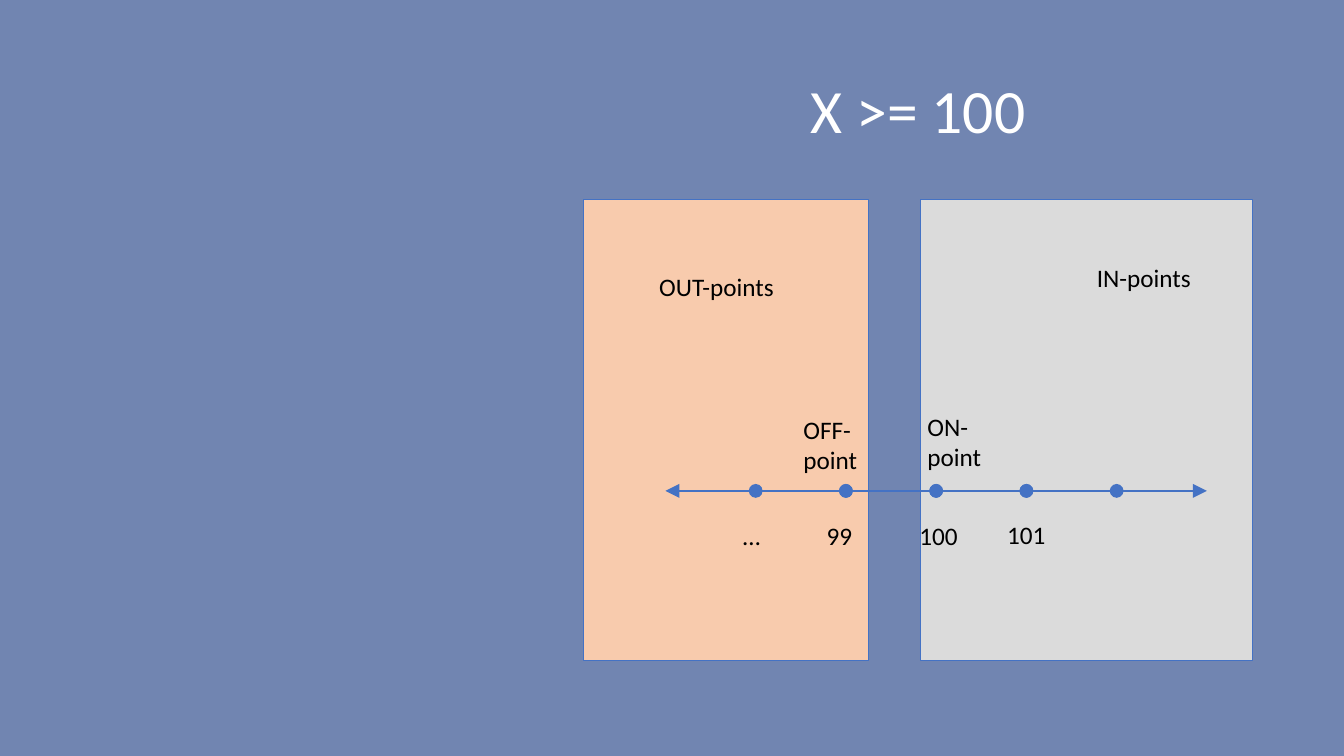
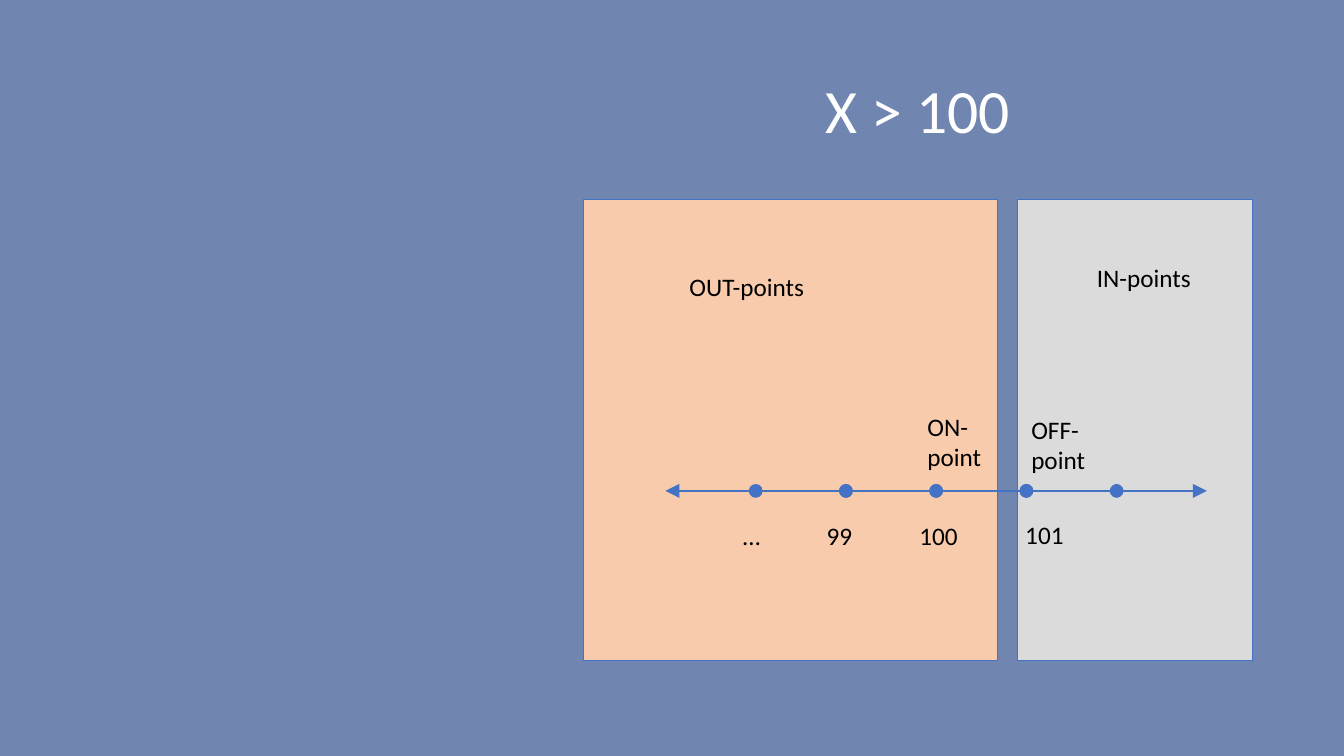
import pptx
import pptx.dml.color
import pptx.enum.shapes
import pptx.enum.text
import pptx.oxml.ns
import pptx.util
from pptx.util import Inches
from lxml import etree

COLOURS = {
    "background": "7185B1",
    "out": "F8CBAD",
    "in": "DBDBDB",
    "line": "4472C4",
    "title": "FFFFFF",
    "text": "000000",
}
FONT = "Calibri"
LABEL_FORMAT = {"size": pptx.util.Pt(18), "name": FONT}
TITLE_FORMAT = {"size": pptx.util.Pt(44), "name": FONT, "bold": False}
LABEL_FRAME = {
    "word_wrap": False,
    "auto_size": pptx.enum.text.MSO_AUTO_SIZE.SHAPE_TO_FIT_TEXT,
}
TITLE_FRAME = {
    "word_wrap": True,
    "auto_size": pptx.enum.text.MSO_AUTO_SIZE.NONE,
    "vertical_anchor": pptx.enum.text.MSO_ANCHOR.MIDDLE,
}
TITLE_PARAGRAPH = {"alignment": pptx.enum.text.PP_ALIGN.CENTER, "line_spacing": 0.9}

REGION_LEFT, REGION_RIGHT = 5.79, 12.42
REGION_TOP, REGION_HEIGHT = 1.98, 4.57
AXIS_START, AXIS_END, AXIS_Y = 6.6, 11.97, 4.87
SEGMENTS = 6

# Each label: text, left, top, width, height
SHARED_LABELS = [
    ("IN-points", 10.78, 2.55, 1.15, 0.4),
    ("…", 7.27, 5.11, 0.38, 0.4),
    ("99", 8.1, 5.11, 0.46, 0.4),
    ("100", 9.02, 5.11, 0.59, 0.4),
    ("ON-\npoint", 9.1, 4.03, 0.75, 0.71),
]
SLIDES = [
    {"title": "X >= 100", "out_right": 8.61, "in_left": 9.13,
     "out_label": 6.44, "tick_101": 9.89, "off_label": 7.87},
    {"title": "X > 100", "out_right": 9.89, "in_left": 10.09,
     "out_label": 6.74, "tick_101": 10.07, "off_label": 10.13},
]


def colour(name):
    return pptx.dml.color.RGBColor.from_string(COLOURS[name])


def set_values(target, values):
    for name, value in values.items():
        setattr(target, name, value)


def paint(fill, name):
    fill.solid()
    fill.fore_color.rgb = colour(name)


def format_font(font, values, name):
    set_values(font, values)
    font.color.rgb = colour(name)


def add_title(page, text):
    title = page.shapes.title
    set_values(title, {"left": Inches(REGION_LEFT), "top": Inches(0.4),
                       "width": Inches(REGION_RIGHT - REGION_LEFT),
                       "height": Inches(1.45)})
    title.text_frame.text = text
    set_values(title.text_frame, TITLE_FRAME)
    para = title.text_frame.paragraphs[0]
    set_values(para, TITLE_PARAGRAPH)
    format_font(para.runs[0].font, TITLE_FORMAT, "title")


def add_region(page, left, right, fill):
    box = page.shapes.add_shape(
        pptx.enum.shapes.MSO_SHAPE.RECTANGLE, Inches(left), Inches(REGION_TOP),
        Inches(right - left), Inches(REGION_HEIGHT))
    box.shadow.inherit = False
    paint(box.fill, fill)
    box.line.color.rgb = colour("line")
    box.line.width = pptx.util.Pt(0.5)


def add_label(page, text, *bounds):
    box = page.shapes.add_textbox(*map(Inches, bounds))
    box.text_frame.text = text
    set_values(box.text_frame, LABEL_FRAME)
    for para in box.text_frame.paragraphs:
        format_font(para.runs[0].font, LABEL_FORMAT, "text")


def add_segment(page, start, end, marks):
    """Draw one piece of the axis; marks maps headEnd and tailEnd to a type."""
    line = page.shapes.add_connector(
        pptx.enum.shapes.MSO_CONNECTOR.STRAIGHT,
        Inches(start), Inches(AXIS_Y), Inches(end), Inches(AXIS_Y))
    line.line.color.rgb = colour("line")
    line.line.width = pptx.util.Pt(1)
    outline = line.line._get_or_add_ln()
    for tag, kind in marks.items():
        etree.SubElement(outline, pptx.oxml.ns.qn("a:" + tag),
                         type=kind, w="lg", len="lg")
    etree.SubElement(line._element.spPr, pptx.oxml.ns.qn("a:effectLst"))


def add_axis(page):
    """Draw the number line: dots at inner ticks, arrows at both ends."""
    step = (AXIS_END - AXIS_START) / SEGMENTS
    for index in range(SEGMENTS):
        if index == 0:
            marks = {"headEnd": "triangle"}
        elif index == SEGMENTS - 1:
            marks = {"tailEnd": "triangle"}
        else:
            marks = {"headEnd": "oval", "tailEnd": "oval"}
        start = AXIS_START + index * step
        add_segment(page, start, start + step, marks)


def add_range_slide(deck, content):
    page = deck.slides.add_slide(deck.slide_layouts.get_by_name("Title Only"))
    add_title(page, content["title"])
    add_region(page, REGION_LEFT, content["out_right"], "out")
    add_region(page, content["in_left"], REGION_RIGHT, "in")
    add_axis(page)
    moving_labels = [
        ("OUT-points", content["out_label"], 2.64, 1.37, 0.4),
        ("101", content["tick_101"], 5.1, 0.59, 0.4),
        ("OFF-\npoint", content["off_label"], 4.06, 0.75, 0.71),
    ]
    for label in SHARED_LABELS + moving_labels:
        add_label(page, *label)


def main():
    deck = pptx.Presentation()
    deck.slide_width, deck.slide_height = Inches(13.33), Inches(7.5)
    paint(deck.slide_master.background.fill, "background")
    for content in SLIDES:
        add_range_slide(deck, content)
    deck.save("out.pptx")


if __name__ == "__main__":
    main()
